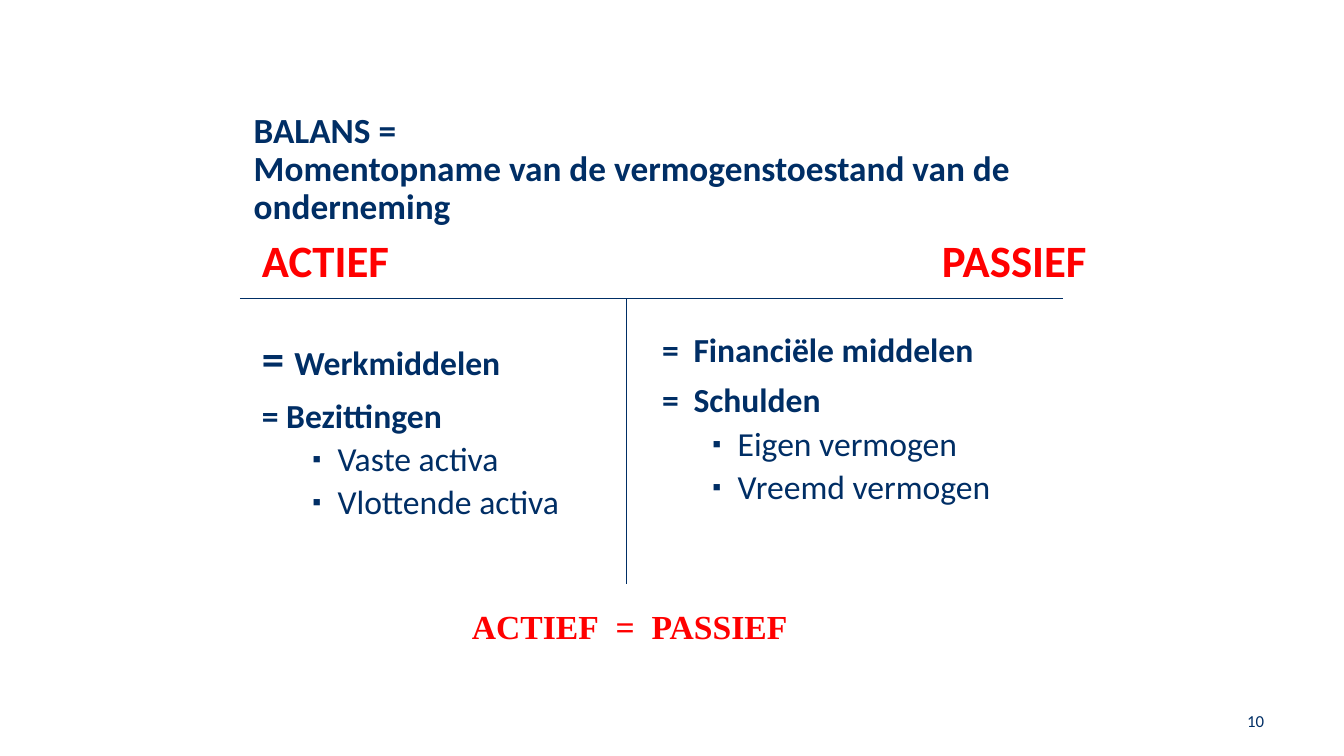
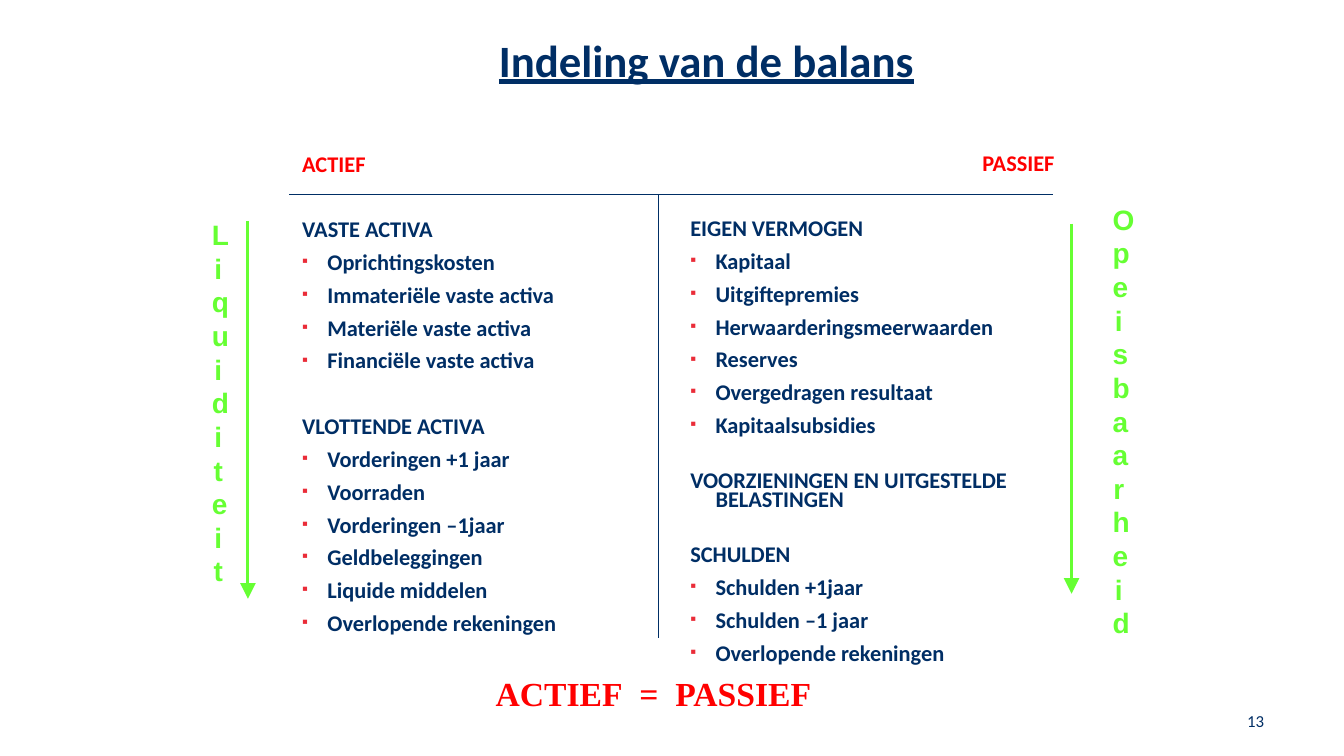
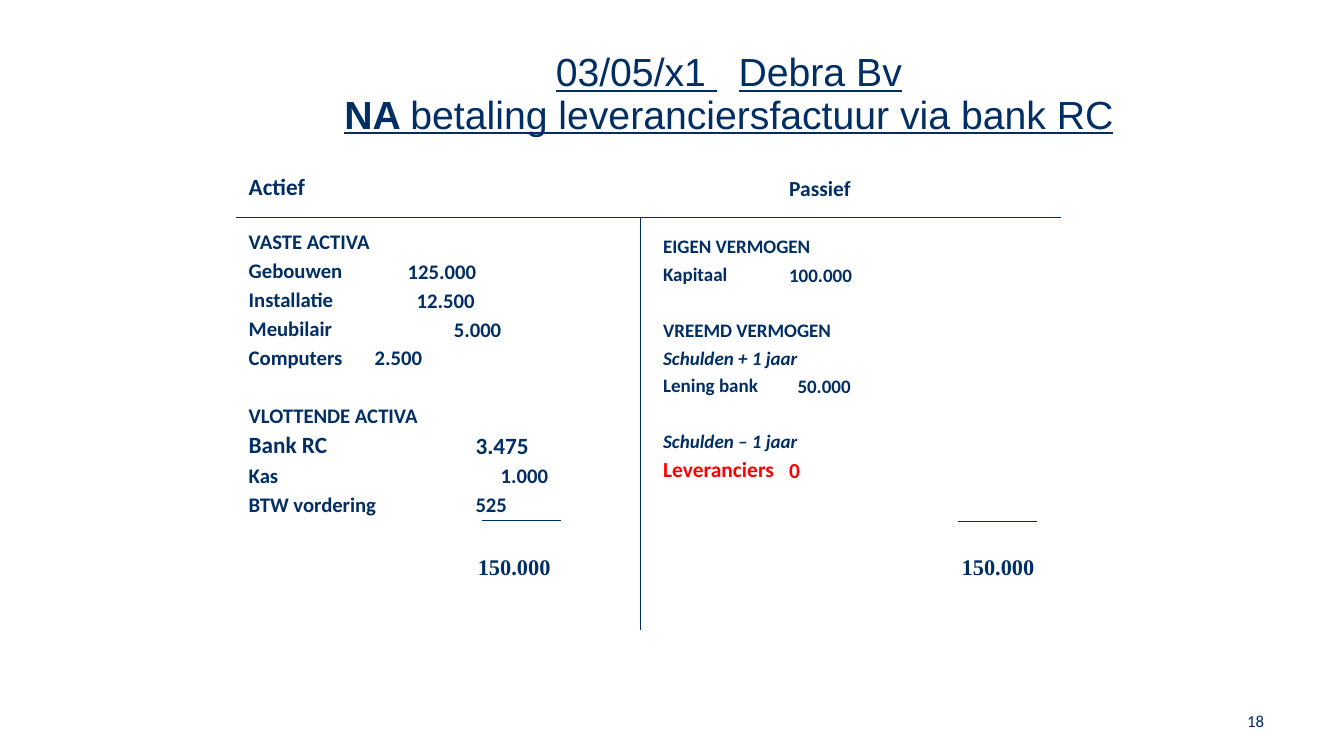
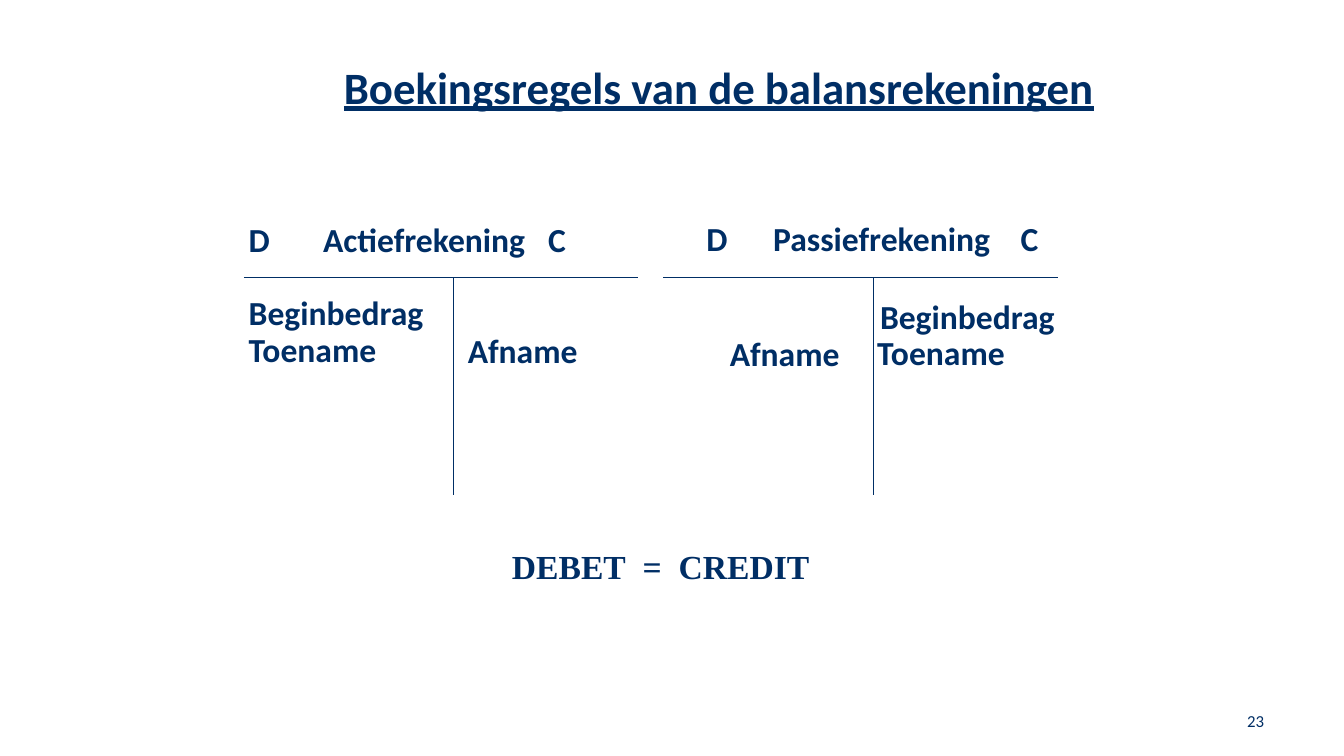
"""Build four slides about the balance sheet and its booking rules."""
from lxml import etree
from pptx import Presentation
from pptx.dml.color import RGBColor
from pptx.enum.shapes import MSO_CONNECTOR
from pptx.enum.text import MSO_ANCHOR, PP_ALIGN
from pptx.oxml.ns import qn
from pptx.util import Pt

STRAIGHT = MSO_CONNECTOR.STRAIGHT
TOP, MIDDLE = MSO_ANCHOR.TOP, MSO_ANCHOR.MIDDLE
LEFT, CENTER, RIGHT = PP_ALIGN.LEFT, PP_ALIGN.CENTER, PP_ALIGN.RIGHT
COLORS = {"navy": "002E65", "red": "FF0000", "bullet": "EA2C38", "green": "66FF33"}
BASE = {"size": 24, "color": "navy", "font": "Calibri", "bold": True, "italic": False,
        "underline": False, "align": LEFT, "spacing": 0.9, "before": 0,
        "margin": 0, "hanging": 0, "bullet": None, "tracking": 0}


def add_text(slide, box, paragraphs, anchor=TOP, inset=True, **box_style):
    """Add a text box; each paragraph is (text or list of runs, style)."""
    shape = slide.shapes.add_textbox(*(Pt(value) for value in box))
    frame = shape.text_frame
    frame.word_wrap = True
    frame.vertical_anchor = anchor
    if not inset:
        frame.margin_left = frame.margin_right = frame.margin_top = frame.margin_bottom = 0
    for index, (content, paragraph_style) in enumerate(paragraphs):
        style = {**BASE, **box_style, **paragraph_style}
        paragraph = frame.paragraphs[0] if index == 0 else frame.add_paragraph()
        properties = paragraph._p.get_or_add_pPr()
        properties.set("marL", str(int(Pt(style["margin"]))))
        properties.set("indent", str(int(Pt(-style["hanging"]))))
        if style["bullet"]:
            color = etree.SubElement(properties, qn("a:buClr"))
            etree.SubElement(color, qn("a:srgbClr"), val=COLORS[style["bullet"]])
            etree.SubElement(properties, qn("a:buSzPct"), val="75000")
            etree.SubElement(properties, qn("a:buFont"), typeface="Arial")
            etree.SubElement(properties, qn("a:buChar"), char="▪")
        else:
            etree.SubElement(properties, qn("a:buNone"))
        paragraph.alignment = style["align"]
        paragraph.line_spacing = style["spacing"]
        paragraph.space_before = Pt(style["before"] if index else 0)
        runs = [(content, {})] if isinstance(content, str) else content
        for text, run_style in runs:
            look = {**style, **run_style}
            for line_number, line in enumerate(text.split("\n")):
                if line_number:
                    paragraph.add_line_break()
                if not line:
                    continue
                run = paragraph.add_run()
                run.text = line
                run.font.name = look["font"]
                run.font.size = Pt(look["size"])
                run.font.bold = look["bold"]
                run.font.italic = look["italic"]
                run.font.underline = look["underline"]
                run.font.color.rgb = RGBColor.from_string(COLORS[look["color"]])
                if look["tracking"]:
                    run._r.get_or_add_rPr().set("spc", str(round(look["tracking"] * 100)))


def add_line(slide, start, end, color="navy", width=0.75, arrow=False):
    """Add a straight line, with an arrowhead at its end if asked."""
    points = [Pt(value) for value in (*start, *end)]
    connector = slide.shapes.add_connector(STRAIGHT, *points)
    connector.line.color.rgb = RGBColor.from_string(COLORS[color])
    connector.line.width = Pt(width)
    if arrow:
        etree.SubElement(connector.line._get_or_add_ln(), qn("a:tailEnd"),
                         type="triangle", w="lg", len="lg")
    etree.SubElement(connector._element.spPr, qn("a:effectLst"))


presentation = Presentation()
presentation.slide_width = Pt(960)
presentation.slide_height = Pt(540)
blank_layout = presentation.slide_layouts[6]
slides = [presentation.slides.add_slide(blank_layout) for _ in range(4)]
snapshot, layout, payment, rules = slides

for slide, number in zip(slides, ("10", "13", "18", "23")):
    add_text(slide, (694, 500.4, 216, 28.8), [(number, {})], anchor=MIDDLE,
             size=12, bold=False, align=RIGHT, spacing=1.0)

title_style = {"size": 32, "underline": True, "align": CENTER}
add_text(snapshot, (174.2, 77, 620, 63.4), [
    ("BALANS = \nMomentopname van de vermogenstoestand van de onderneming", {})], size=25.2)
add_text(layout, (198.7, 23.8, 612, 77.8), [("Indeling van de balans", {})], **title_style)
add_text(payment, (214.6, 32.4, 612, 71.3), [([
    ("03/05/x1", {}),
    (" ", {"tracking": 15.6}),
    ("Debra Bv\n", {}),
    ("NA ", {"bold": True}),
    ("betaling leveranciersfactuur via bank RC", {})], {})],
    anchor=MIDDLE, **{**title_style, "size": 28, "font": "Arial", "bold": False})
add_text(rules, (193.7, 43.2, 640, 66.2),
         [("Boekingsregels van de balansrekeningen", {})], **title_style)

for slide, left, right, top, middle, bottom in (
        (snapshot, 171.4, 759.6, 213.1, 447.8, 416.9),
        (layout, 206.6, 752.4, 139, 470.2, 455.8),
        (payment, 168.5, 758.2, 155.5, 457.2, 450),
        (rules, 174.2, 455.8, 198, 324, 353.5),
        (rules, 473.8, 756, 198, 624.2, 353.5)):
    add_line(slide, (left, top), (right, top))
    add_line(slide, (middle, top), (middle, bottom))

for slide, left, top, first, second, color in (
        (snapshot, 330, 429.1, "ACTIEF", "PASSIEF", "red"),
        (layout, 347, 477.4, "ACTIEF", "PASSIEF", "red"),
        (rules, 358.6, 386.6, "DEBET", "CREDIT", "navy")):
    wide_space = (" ", {"tracking": 6})
    add_text(slide, (left, top, 300, 36),
             [([(first, {}), wide_space, ("=", {}), wide_space, (second, {})], {})],
             font="Times New Roman", color=color, spacing=1.0)

sub_item = {"bold": False, "margin": 54, "hanging": 18, "bullet": "navy", "before": 5}
equals = {"margin": 22.5, "hanging": 22.5}
add_text(snapshot, (180, 167, 303.8, 267.8), [
    ("ACTIEF", {"size": 32, "color": "red"}),
    ([("= ", {"size": 32}), ("Werkmiddelen", {})], {"before": 35.4}),
    ("= Bezittingen", {}),
    ("Vaste activa", sub_item),
    ("Vlottende activa", sub_item)], before=10)
add_text(snapshot, (465.8, 167, 317.5, 274.3), [
    ("PASSIEF", {"size": 32, "color": "red", "align": RIGHT}),
    ("=\tFinanciële middelen", {**equals, "before": 33.2}),
    ("=\tSchulden", equals),
    ("Eigen vermogen", sub_item),
    ("Vreemd vermogen", sub_item)], before=10)

balance_columns = (
    ((208.8, 108.7, 246.2, 372.2), "ACTIEF", LEFT, (
        ("VASTE ACTIVA", 33.4, ("Oprichtingskosten", "Immateriële vaste activa",
                                "Materiële vaste activa", "Financiële vaste activa")),
        ("VLOTTENDE ACTIVA", 33.4, ("Vorderingen +1 jaar", "Voorraden", "Vorderingen –1jaar",
                                    "Geldbeleggingen", "Liquide middelen",
                                    "Overlopende rekeningen")))),
    ((486, 108, 274.3, 372.2), "PASSIEF", RIGHT, (
        ("EIGEN VERMOGEN", 33.4, ("Kapitaal", "Uitgiftepremies", "Herwaarderingsmeerwaarden",
                                  "Reserves", "Overgedragen resultaat", "Kapitaalsubsidies")),
        ("VOORZIENINGEN EN UITGESTELDE BELASTINGEN", 26, ()),
        ("SCHULDEN", 26, ("Schulden +1jaar", "Schulden –1 jaar", "Overlopende rekeningen")))))
for box, side, align, sections in balance_columns:
    paragraphs = [(side, {"color": "red", "align": align, "margin": 0, "hanging": 0})]
    for heading, gap, items in sections:
        paragraphs.append((heading, {"before": gap}))
        paragraphs += [(item, {"bullet": "bullet"}) for item in items]
    add_text(layout, box, paragraphs, size=16, spacing=0.7, before=10, margin=18, hanging=18)

for word, left, top, arrow_x, arrow_top, arrow_bottom in (
        ("Liquiditeit", 151.4, 155.5, 177.1, 157.7, 427.7),
        ("Opeisbaarheid", 794.7, 144.5, 765.4, 159.8, 424.1)):
    add_text(layout, (left, top, 9, 24 * len(word)), [(word, {})], inset=False, size=20,
             font="Arial", color="green", align=CENTER, spacing=Pt(24))
    add_line(layout, (arrow_x, arrow_top), (arrow_x, arrow_bottom), "green", 2.25, arrow=True)

asset_style = {"size": 14.8, "spacing": 0.6, "before": 10}
add_text(payment, (170.6, 126.3, 270, 339.8), [
    ("Actief", {"size": 16.6}),
    ("VASTE ACTIVA", {"before": 28.1}),
    ("Gebouwen", {}),
    ("Installatie", {}),
    ("Meubilair", {}),
    ("Computers", {}),
    ("VLOTTENDE ACTIVA", {"before": 30.8}),
    ("Bank RC", {"size": 16.6}),
    ("Kas", {}),
    ("BTW vordering", {})], **asset_style)
add_text(payment, (170.6, 187.4, 270, 200), [
    ("125.000", {"margin": 113.5}),
    ("12.500", {"margin": 120}),
    ("5.000", {"margin": 146.5}),
    ("2.500", {"margin": 90}),
    ("3.475", {"margin": 162, "size": 16.6, "before": 51.6}),
    ("1.000", {"margin": 180}),
    ("525", {"margin": 162})], **asset_style)

liability_style = {"size": 13.6, "spacing": 0.6, "before": 10}
supplier_style = {"size": 15.3, "color": "red"}
add_text(payment, (466.6, 128.2, 305.3, 267.8), [
    ("Passief", {"size": 15.3, "margin": 90}),
    ("EIGEN VERMOGEN", {"before": 30.8}),
    ("Kapitaal", {}),
    ("VREEMD VERMOGEN", {"before": 30}),
    ("Schulden + 1 jaar", {"italic": True}),
    ("Lening bank", {}),
    ("Schulden – 1 jaar", {"italic": True, "before": 29.7}),
    ("Leveranciers", supplier_style)], **liability_style)
add_text(payment, (466.6, 190.2, 305.3, 200), [
    ("100.000", {"margin": 90}),
    ("50.000", {"margin": 96, "before": 69.9}),
    ("0", {**supplier_style, "margin": 90, "before": 49.7})], **liability_style)
for total_left, rule_left, rule_top in ((287.3, 344.2, 371.5), (632.9, 684, 372.2)):
    add_line(payment, (rule_left, rule_top), (rule_left + 56.5, rule_top))
    add_text(payment, (total_left, 391.7, 113, 26.6), [("150.000", {})], size=16,
             font="Times New Roman", align=RIGHT, spacing=1.0)

account_columns = (
    (170.6, 156.2, "Actiefrekening", 32.5, 10.9, 26.4, 0, 0, 327.1, 235.3),
    (497.5, 155.5, "Passiefrekening", 27.1, 16.3, 29.4, 124, 122, 514.2, 237.6))
for (left, top, account, debit_gap, credit_gap, gap, opening_margin, increase_margin,
     decrease_left, decrease_top) in account_columns:
    heading = [("D", {}), (" ", {"tracking": debit_gap}), (account, {}),
               (" ", {"tracking": credit_gap}), ("C", {})]
    add_text(rules, (left, top, 308.9, 120), [
        (heading, {}),
        ("Beginbedrag", {"before": gap, "margin": opening_margin}),
        ("Toename", {"margin": increase_margin})])
    add_text(rules, (decrease_left, decrease_top, 105, 34), [("Afname", {})])

presentation.save("out.pptx")
